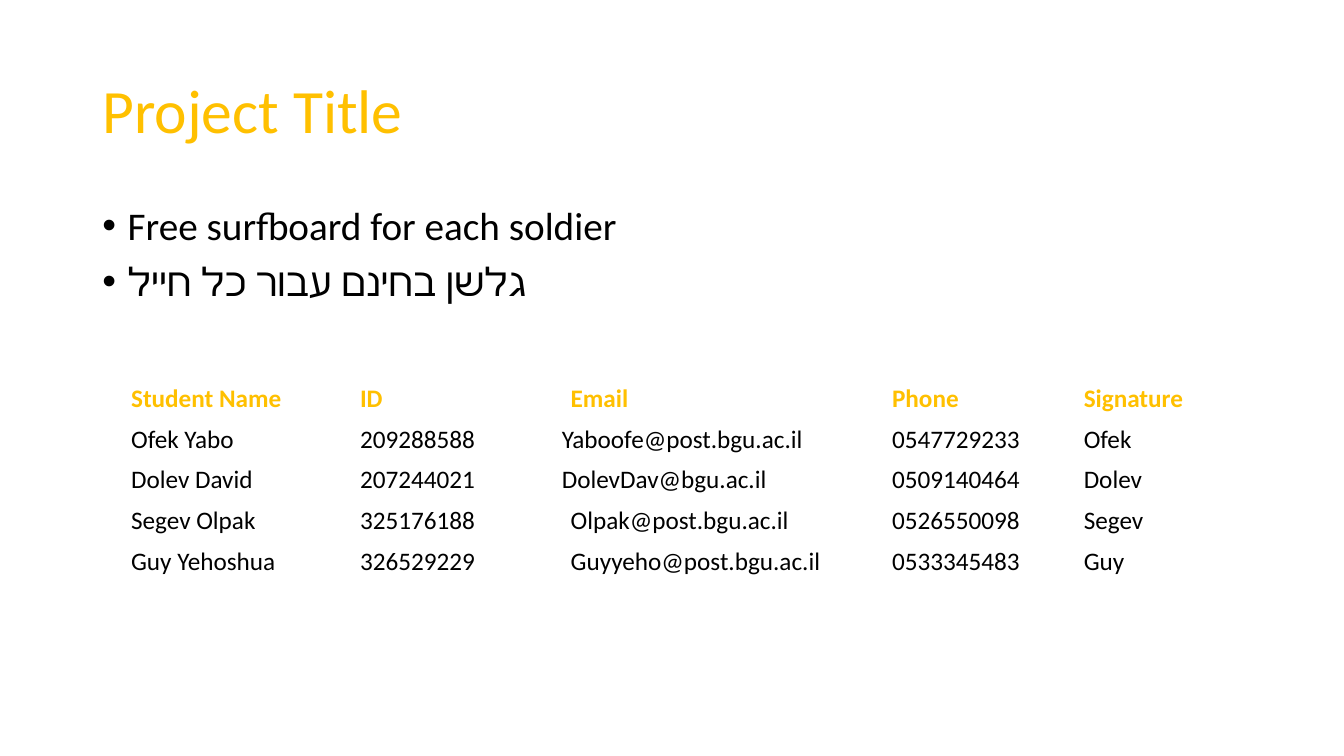
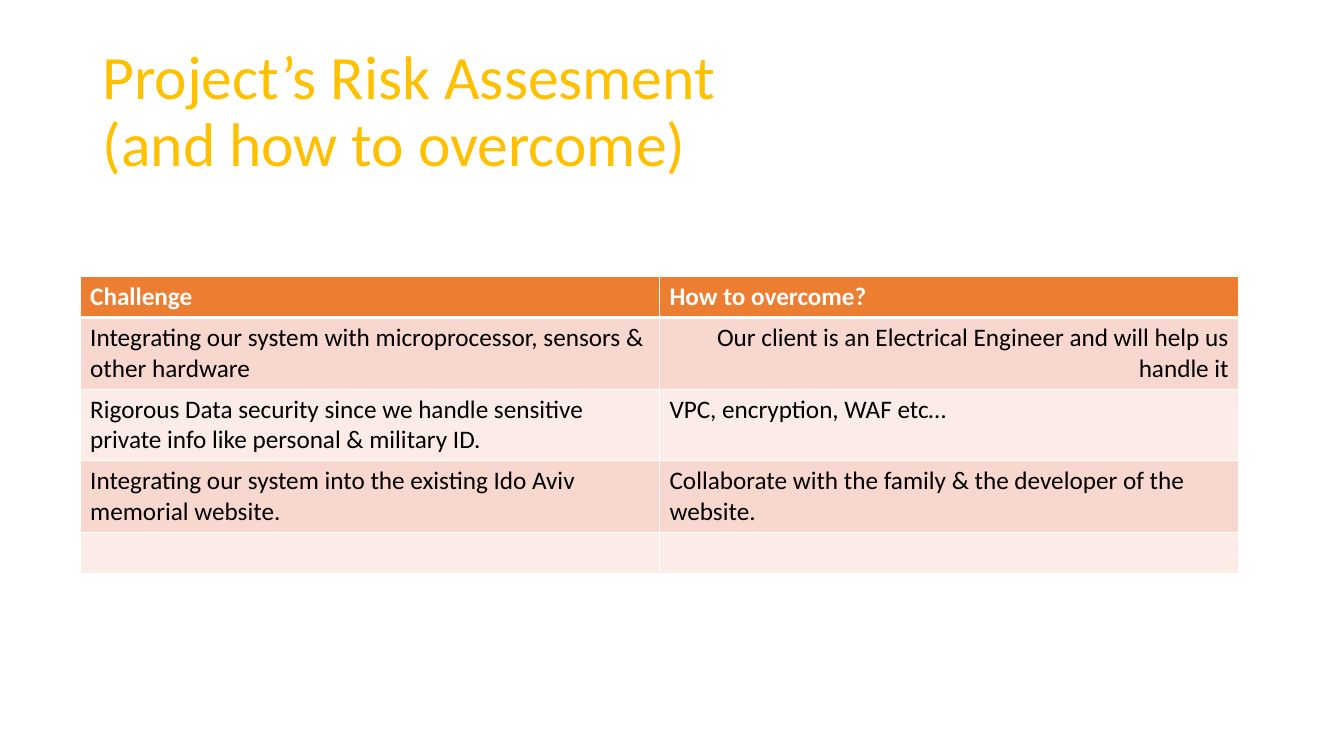
from lxml import etree
from pptx import Presentation
from pptx.dml.color import RGBColor
from pptx.enum.text import MSO_ANCHOR, PP_ALIGN
from pptx.oxml.ns import qn
from pptx.util import Cm, Pt

LEFT, RIGHT = PP_ALIGN.LEFT, PP_ALIGN.RIGHT
MIDDLE, BOTTOM = MSO_ANCHOR.MIDDLE, MSO_ANCHOR.BOTTOM

GOLD = RGBColor(0xFF, 0xC0, 0x00)
ORANGE = RGBColor(0xED, 0x7D, 0x31)
PEACH = RGBColor(0xF8, 0xD7, 0xCE)
PALE_PEACH = RGBColor(0xFC, 0xEC, 0xE8)
WHITE = RGBColor(0xFF, 0xFF, 0xFF)
BLACK = RGBColor(0x00, 0x00, 0x00)

TITLE_FONT = {"name": "Calibri", "size": Pt(44), "bold": False}
BULLET_FONT = {"name": "Calibri", "size": Pt(28)}
HEADER_FONT = {"name": "Calibri", "size": Pt(18), "bold": True}
BODY_FONT = {"name": "Calibri", "size": Pt(18), "bold": False}
EMAIL_CELL = {
    "vertical_anchor": BOTTOM,
    "margin_left": Cm(0.03),
    "margin_right": Cm(0.03),
    "margin_top": Cm(0.03),
    "margin_bottom": Cm(0.13),
}

CONTENT_LEFT, CONTENT_WIDTH = Cm(2.33), Cm(29.21)
ROW_HEIGHT = Cm(1.03)
TITLE_ONLY = 5

students = [
    ["Student Name", "ID", "Email", "Phone", "Signature"],
    ["Ofek Yabo", "209288588", "Yaboofe@post.bgu.ac.il", "0547729233", "Ofek"],
    ["Dolev David", "207244021", "DolevDav@bgu.ac.il", "0509140464", "Dolev"],
    ["Segev Olpak", "325176188", "Olpak@post.bgu.ac.il", "0526550098", "Segev"],
    ["Guy Yehoshua", "326529229", "Guyyeho@post.bgu.ac.il", "0533345483", "Guy"],
]
risks = [
    ["Challenge", "How to overcome?"],
    ["Integrating our system with microprocessor, sensors & other hardware",
     "Our client is an Electrical Engineer and will help us handle it"],
    ["Rigorous Data security since we handle sensitive private info like "
     "personal & military ID.",
     "VPC, encryption, WAF etc…"],
    ["Integrating our system into the existing Ido Aviv memorial website.",
     "Collaborate with the family & the developer of the website."],
    ["", ""],
]


def format_runs(paragraph, font_format, color):
    for run in paragraph.runs:
        for attribute, value in font_format.items():
            setattr(run.font, attribute, value)
        run.font.color.rgb = color


def add_grid(slide, rows, left, top, widths, header_fill, header_color, bands):
    """Add a table with white rules, a header row and alternating bands."""
    grid = slide.shapes.add_table(
        len(rows), len(widths), left, top, sum(widths), ROW_HEIGHT * len(rows)
    ).table
    for column, width in zip(grid.columns, widths):
        column.width = width
    for r, row in enumerate(rows):
        grid.rows[r].height = ROW_HEIGHT
        for c, text in enumerate(row):
            cell = grid.cell(r, c)
            # Thick rule between the header and the first body row
            properties = cell._tc.get_or_add_tcPr()
            for side in "LRTB":
                thick = (r, side) in ((0, "B"), (1, "T"))
                line = etree.SubElement(properties, qn(f"a:ln{side}"),
                                        w=str(Pt(3 if thick else 1)))
                fill = etree.SubElement(line, qn("a:solidFill"))
                etree.SubElement(fill, qn("a:srgbClr"), val=str(WHITE))
            cell.fill.solid()
            cell.fill.fore_color.rgb = bands[(r - 1) % len(bands)] if r else header_fill
            cell.text = text
            format_runs(cell.text_frame.paragraphs[0],
                        BODY_FONT if r else HEADER_FONT,
                        BLACK if r else header_color)
    return grid


deck = Presentation()
deck.slide_width, deck.slide_height = Cm(33.87), Cm(19.05)

# Slides and their titles
slides = []
for heading in ("Project Title", "Project’s Risk Assesment\v(and how to overcome)"):
    slide = deck.slides.add_slide(deck.slide_layouts[TITLE_ONLY])
    title = slide.shapes.title
    title.left, title.top = CONTENT_LEFT, Cm(1.01)
    title.width, title.height = CONTENT_WIDTH, Cm(3.68)
    title.text_frame.text = heading
    title.text_frame.vertical_anchor = MIDDLE
    paragraph = title.text_frame.paragraphs[0]
    paragraph.alignment = LEFT
    paragraph.line_spacing = 0.9
    format_runs(paragraph, TITLE_FONT, GOLD)
    slides.append(slide)
project_slide, risk_slide = slides

# Project description, in English and Hebrew
description = project_slide.shapes.add_textbox(
    CONTENT_LEFT, Cm(5.07), CONTENT_WIDTH, Cm(3.4)).text_frame
description.word_wrap = True
description.text = "Free surfboard for each soldier\nגלשן בחינם עבור כל חייל"
for i, paragraph in enumerate(description.paragraphs):
    paragraph.alignment = LEFT
    paragraph.line_spacing = 0.9
    paragraph.space_before = Pt(10 if i else 0)
    properties = paragraph._p.get_or_add_pPr()
    properties.set("marL", str(Cm(0.64)))
    properties.set("indent", str(-Cm(0.64)))
    etree.SubElement(properties, qn("a:buFont"), typeface="Arial")
    etree.SubElement(properties, qn("a:buChar"), char="•")
    format_runs(paragraph, BULLET_FONT, BLACK)

# Student table; the first two addresses sit in tight cells
student_widths = [Cm(width) for width in (5.77, 5.31, 8.1, 4.83, 4.8)]
student_grid = add_grid(project_slide, students, Cm(3.05), Cm(9.53),
                        student_widths, WHITE, GOLD, [WHITE])
for r in (1, 2):
    for attribute, value in EMAIL_CELL.items():
        setattr(student_grid.cell(r, 2), attribute, value)

# Risk table; the first answer reads from the right
risk_grid = add_grid(risk_slide, risks, Cm(2.02), Cm(6.97), [Cm(14.6)] * 2,
                     ORANGE, WHITE, [PEACH, PALE_PEACH])
client_answer = risk_grid.cell(1, 1).text_frame.paragraphs[0]
client_answer.alignment = RIGHT
client_answer._p.get_or_add_pPr().set("rtl", "1")

deck.save("out.pptx")
